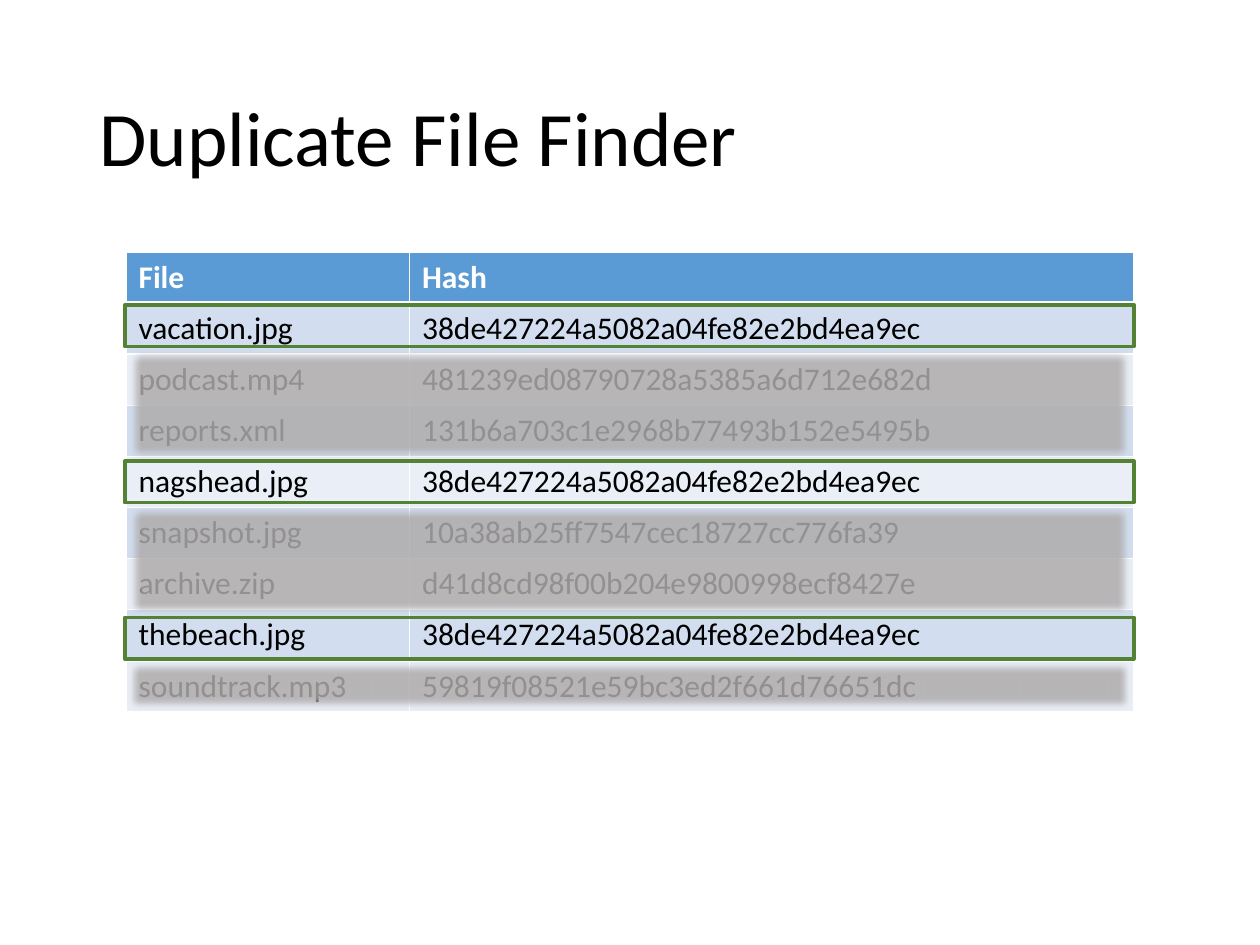
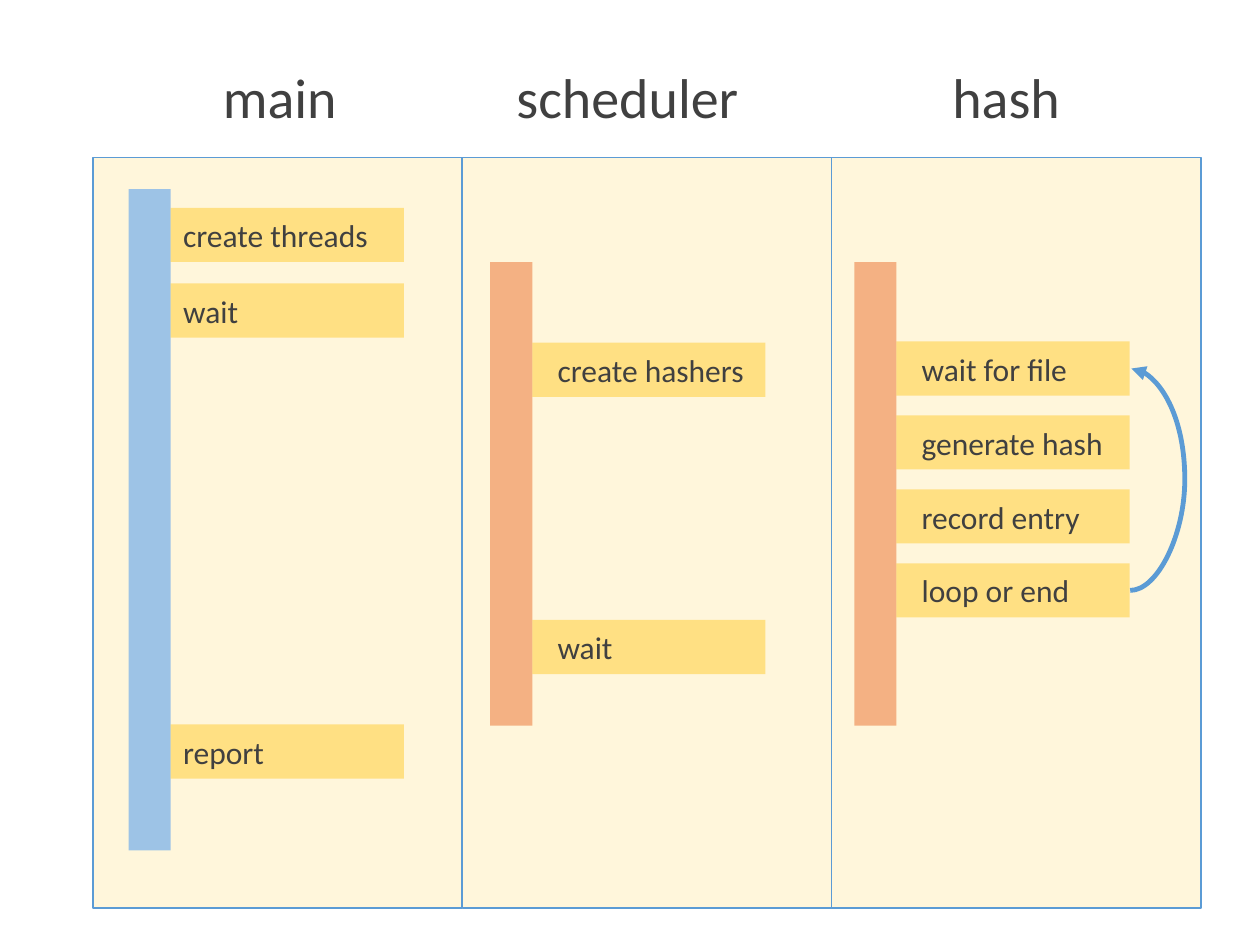
from dataclasses import dataclass

from lxml.etree import SubElement
from pptx import Presentation
from pptx.dml.color import RGBColor
from pptx.enum.shapes import MSO_CONNECTOR, MSO_SHAPE
from pptx.enum.text import MSO_ANCHOR, PP_ALIGN
from pptx.oxml.ns import qn
from pptx.util import Inches, Pt


@dataclass(frozen=True)
class Theme:
    """Colours, font and type sizes of the deck."""

    font: str = "Calibri"
    title_size: int = 44
    heading_size: int = 32
    body_size: int = 18
    black: str = "000000"
    white: str = "FFFFFF"
    grey_text: str = "404040"
    accent: str = "5B9BD5"
    bands: tuple = ("D2DEEF", "EAEFF7")
    cover: str = "AFABAB"
    match: str = "548235"
    lane: str = "FFD966"
    step: str = "FFC000"
    main_bar: str = "9DC3E6"
    thread_bar: str = "F4B183"


class Deck:
    """Draws elements on the current slide, on a grid of 100 columns by 75 rows."""

    columns, rows = 100, 75

    def __init__(self, theme):
        """Open a presentation in the 4:3 format."""
        self.theme = theme
        self.presentation = Presentation()
        self.presentation.slide_width = Inches(10)
        self.presentation.slide_height = Inches(7.5)
        self.slide = None

    def new_slide(self):
        """Start a blank slide."""
        self.slide = self.presentation.slides.add_slide(self.presentation.slide_layouts[6])

    def across(self, columns):
        """Turn grid columns into a length."""
        return round(self.presentation.slide_width * columns / self.columns)

    def down(self, rows):
        """Turn grid rows into a length."""
        return round(self.presentation.slide_height * rows / self.rows)

    def area(self, left, top, width, height):
        """Turn a grid area into a slide area."""
        return self.across(left), self.down(top), self.across(width), self.down(height)

    def add_text(self, frame, text, size, color, bold=False):
        """Put one left-aligned run into a text frame."""
        paragraph = frame.paragraphs[0]
        paragraph.alignment = PP_ALIGN.LEFT
        run = paragraph.add_run()
        run.text = text
        run.font.name = self.theme.font
        run.font.size = Pt(size)
        run.font.bold = bold
        run.font.color.rgb = RGBColor.from_string(color)
        return paragraph

    def title(self, text):
        """Add the slide title."""
        frame = self.slide.shapes.add_textbox(*self.area(6.9, 4, 86.2, 14.5)).text_frame
        frame.word_wrap = True
        frame.vertical_anchor = MSO_ANCHOR.MIDDLE
        self.add_text(frame, text, self.theme.title_size, self.theme.black).line_spacing = 0.9

    def heading(self, text, left, width):
        """Add a lane heading."""
        frame = self.slide.shapes.add_textbox(*self.area(left, 4.5, width, 6.4)).text_frame
        frame.word_wrap = False
        self.add_text(frame, text, self.theme.heading_size, self.theme.grey_text)

    def box(self, area, fill=None, opacity=100, line=None, line_width=1, soft_edge=0):
        """Add a rectangle with optional fill, outline and soft edge."""
        shape = self.slide.shapes.add_shape(MSO_SHAPE.RECTANGLE, *self.area(*area))
        shape.shadow.inherit = False
        properties = shape.element.spPr
        if fill:
            shape.fill.solid()
            shape.fill.fore_color.rgb = RGBColor.from_string(fill)
            color = properties.find(qn("a:solidFill")).find(qn("a:srgbClr"))
            SubElement(color, qn("a:alpha"), val=str(opacity * 1000))
        else:
            shape.fill.background()
        if line:
            shape.line.color.rgb = RGBColor.from_string(line)
            shape.line.width = Pt(line_width)
        else:
            shape.line.fill.background()
        if soft_edge:
            effects = properties.find(qn("a:effectLst"))
            SubElement(effects, qn("a:softEdge"), rad=str(Pt(soft_edge)))
        return shape

    def step(self, text, left, top, inset):
        """Add a labelled step beside a thread bar."""
        shape = self.box((left, top, 18.5, 4.3), self.theme.step, opacity=40)
        frame = shape.text_frame
        frame.word_wrap = False
        frame.vertical_anchor = MSO_ANCHOR.MIDDLE
        frame.margin_left = self.across(inset)
        self.add_text(frame, text, self.theme.body_size, self.theme.grey_text)

    def borders(self, cell, bottom):
        """Give a table cell white borders."""
        properties = cell._tc.get_or_add_tcPr()
        for side, width in (("L", 1), ("R", 1), ("T", 1), ("B", bottom)):
            line = SubElement(properties, qn(f"a:ln{side}"), w=str(Pt(width)))
            SubElement(SubElement(line, qn("a:solidFill")), qn("a:srgbClr"), val=self.theme.white)

    def table(self, records, area, widths):
        """Add a banded table with a header row."""
        theme = self.theme
        table = self.slide.shapes.add_table(len(records), len(widths), *self.area(*area)).table
        for column, width in zip(table.columns, widths):
            column.width = self.across(width)
        for index, record in enumerate(records):
            header = index == 0
            fill = theme.accent if header else theme.bands[(index - 1) % 2]
            for cell, text in zip(table.rows[index].cells, record):
                self.borders(cell, 3 if header else 1)
                cell.fill.solid()
                cell.fill.fore_color.rgb = RGBColor.from_string(fill)
                color = theme.white if header else theme.black
                self.add_text(cell.text_frame, text, theme.body_size, color, header)

    def loop_arrow(self, left, start, end, bulge):
        """Add a curved arrow that bulges right and returns to an earlier step."""
        span = 0.1
        connector = self.slide.shapes.add_connector(
            MSO_CONNECTOR.CURVE, self.across(left), self.down(start),
            self.across(left + span), self.down(end))
        connector.line.color.rgb = RGBColor.from_string(self.theme.accent)
        connector.line.width = Pt(2.75)
        properties = connector.element.spPr
        guides = properties.find(qn("a:prstGeom")).get_or_add_avLst()
        SubElement(guides, qn("a:gd"), name="adj1", fmla=f"val {round(bulge / span * 100000)}")
        SubElement(properties.find(qn("a:ln")), qn("a:tailEnd"), type="triangle")
        SubElement(properties, qn("a:effectLst"))


FILES = (
    ("File", "Hash"),
    ("vacation.jpg", "38de427224a5082a04fe82e2bd4ea9ec"),
    ("podcast.mp4", "481239ed08790728a5385a6d712e682d"),
    ("reports.xml", "131b6a703c1e2968b77493b152e5495b"),
    ("nagshead.jpg", "38de427224a5082a04fe82e2bd4ea9ec"),
    ("snapshot.jpg", "10a38ab25ff7547cec18727cc776fa39"),
    ("archive.zip", "d41d8cd98f00b204e9800998ecf8427e"),
    ("thebeach.jpg", "38de427224a5082a04fe82e2bd4ea9ec"),
    ("soundtrack.mp3", "59819f08521e59bc3ed2f661d76651dc"),
)


def duplicate_slide(deck):
    """Show the file table with the duplicates framed and the rest covered."""
    theme = deck.theme
    deck.new_slide()
    deck.title("Duplicate File Finder")
    deck.table(FILES, (10, 20, 80, 36.5), (22.5, 57.5))
    frame_height, pitch = 3.3, 12.4
    for index, cover_height in enumerate((9.2, 9.2, 4.3)):
        top = 24.2 + index * pitch
        deck.box((10, top + frame_height, 80, cover_height), theme.cover, opacity=84, soft_edge=5)
        deck.box((9.9, top, 80.1, frame_height), line=theme.match, line_width=2)


def thread_slide(deck):
    """Show the main, scheduler and hash threads as three lanes."""
    theme = deck.theme
    main_span, thread_span = (15, 52.5), (20.8, 36.8)
    hash_top, hash_pitch = 27.1, 5.87
    hash_names = ("wait for file", "generate hash", "record entry", "loop or end")
    hash_steps = [(name, hash_top + row * hash_pitch) for row, name in enumerate(hash_names)]
    lanes = (
        ("main", 16.7, 11.2, 10.2, theme.main_bar, main_span, 1,
         (("create threads", 16.5), ("wait", 22.5), ("report", 57.5))),
        ("scheduler", 40, 19.8, 38.9, theme.thread_bar, thread_span, 2,
         (("create hashers", 27.2), ("wait", 49.2))),
        ("hash", 74.6, 10.7, 67.8, theme.thread_bar, thread_span, 2, hash_steps),
    )
    lane_width, bar_width = 29.3, 3.35
    deck.new_slide()
    for index, lane in enumerate(lanes):
        name, name_left, name_width, bar_left, color, (top, height), inset, steps = lane
        deck.box((7.4 + index * lane_width, 12.5, lane_width, 59.6),
                 theme.lane, opacity=23, line=theme.accent)
        deck.heading(name, name_left, name_width)
        deck.box((bar_left, top, bar_width, height), color)
        for text, step_top in steps:
            deck.step(text, bar_left + bar_width, step_top, inset)
    middle = hash_top + 4.3 / 2
    deck.loop_arrow(89.7, middle + 3 * hash_pitch, middle, 4.4)


def main():
    """Build and save the deck."""
    deck = Deck(Theme())
    duplicate_slide(deck)
    thread_slide(deck)
    deck.presentation.save("out.pptx")


if __name__ == "__main__":
    main()
